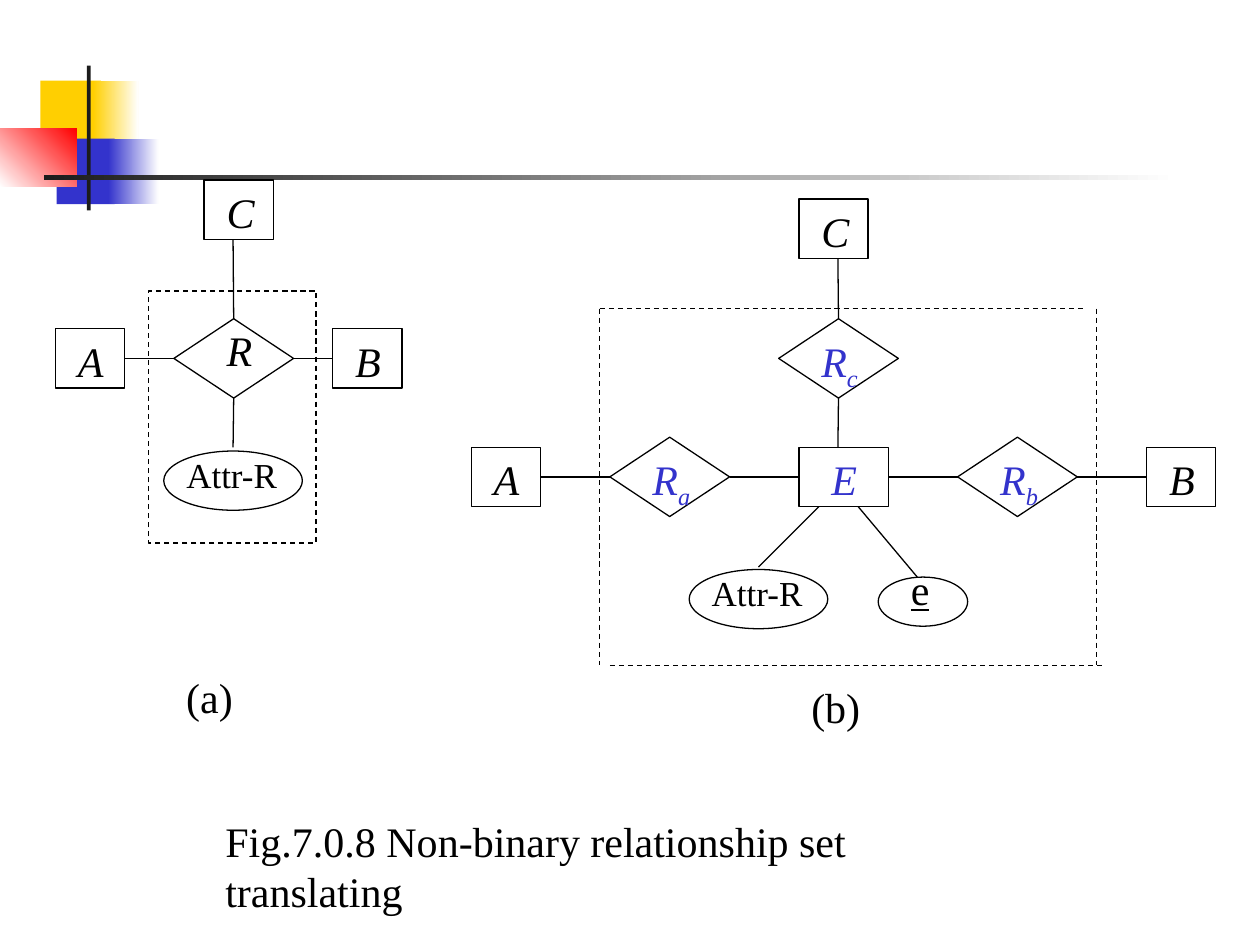
from dataclasses import dataclass
from typing import Any

from lxml.etree import SubElement
from pptx import Presentation
from pptx.dml.color import RGBColor
from pptx.enum.dml import MSO_LINE
from pptx.enum.shapes import MSO_CONNECTOR, MSO_SHAPE
from pptx.enum.text import MSO_AUTO_SIZE
from pptx.oxml.ns import qn
from pptx.util import Inches, Pt

BLACK = RGBColor(0x00, 0x00, 0x00)
WHITE = RGBColor(0xFF, 0xFF, 0xFF)
BLUE = RGBColor(0x33, 0x33, 0xCC)
YELLOW = RGBColor(0xFF, 0xCF, 0x01)
RED = RGBColor(0xFF, 0x00, 0x00)
CHARCOAL = RGBColor(0x1C, 0x1C, 0x1C)

TOP, LEFT, BOTTOM, RIGHT = range(4)
BOX_H = 0.47


@dataclass
class Panel:
    """A region of the slide; all lengths are inches from its top left corner."""
    s: Any
    x: float
    y: float

    def at(self, x, y):
        return Inches(self.x + x), Inches(self.y + y)

    def shape(self, kind, x, y, w, h):
        sp = self.s.shapes.add_shape(kind, *self.at(x, y), Inches(w), Inches(h))
        sp.shadow.inherit = False
        return sp

    def outline(self, kind, x, y, w, h, dash=None):
        sp = self.shape(kind, x, y, w, h)
        sp.fill.background()
        style_line(sp.line, dash)
        return sp

    def label(self, text, x, y, w, sub="", h=0.5, **fmt):
        sp = self.s.shapes.add_textbox(*self.at(x, y), Inches(w), Inches(h))
        tf = sp.text_frame
        tf.word_wrap = False
        tf.auto_size = MSO_AUTO_SIZE.SHAPE_TO_FIT_TEXT
        p = tf.paragraphs[0]
        color = fmt.pop("color", BLACK)
        values = {"name": "Times New Roman", "size": Pt(24), **fmt}
        for part in filter(None, (text, sub)):
            r = p.add_run()
            r.text = part
            for name, value in values.items():
                setattr(r.font, name, value)
            r.font.color.rgb = color
        if sub:
            r._r.get_or_add_rPr().set("baseline", "-25000")

    def entity(self, text, x, y, w=0.55, color=BLACK):
        sp = self.outline(MSO_SHAPE.RECTANGLE, x, y, w, BOX_H)
        text_w = 0.42 if text == "C" else 0.4
        self.label(text, x + (w - 0.39) / 2, y, text_w, italic=True, color=color)
        return sp

    def diamond(self, x, y):
        return self.outline(MSO_SHAPE.DIAMOND, x, y, 0.95, 0.63)

    def relationship(self, sub, x, y):
        sp = self.diamond(x, y)
        self.label("R", x + 0.24, y + 0.08, 0.5, sub, h=0.56, italic=True, color=BLUE)
        return sp

    def attribute(self, x, y):
        self.outline(MSO_SHAPE.OVAL, x, y, 1.1, BOX_H)
        self.label("Attr-R", x + 0.08, y - 0.03, 0.92, h=0.44, size=Pt(20))

    def link(self, start, end, dash=None):
        """Draw a line; each end is an (x, y) point or a (shape, side) pair."""
        points = [(0, 0) if hasattr(e[0], "shape_id") else e for e in (start, end)]
        c = self.s.shapes.add_connector(
            MSO_CONNECTOR.STRAIGHT, *self.at(*points[0]), *self.at(*points[1]))
        for e, connect in ((start, c.begin_connect), (end, c.end_connect)):
            if hasattr(e[0], "shape_id"):
                connect(*e)
        style_line(c.line, dash)
        SubElement(c._element.spPr, qn("a:effectLst"))


def style_line(line, dash=None):
    line.color.rgb = BLACK
    line.width = Pt(0.75)
    if dash:
        line.dash_style = dash


def draw_decoration(s, x, y):
    panel = Panel(s, x, y)
    bars = [
        ((0.32, 0.12, 0.48, 0.52), YELLOW, None, 0),
        ((0.74, 0.12, 0.36, 0.52), YELLOW, WHITE, 0),
        ((0.45, 0.58, 0.46, 0.52), BLUE, None, 0),
        ((0.86, 0.58, 0.4, 0.52), BLUE, WHITE, 0),
        ((0, 0.5, 0.61, 0.46), WHITE, RED, 45),
        ((0.69, 0, 0.03, 1.15), CHARCOAL, None, 0),
        ((0.35, 0.87, 9, 0.04), CHARCOAL, WHITE, 0),
    ]
    for box, first, last, angle in bars:
        sp = panel.shape(MSO_SHAPE.RECTANGLE, *box)
        sp.line.fill.background()
        if last is None:
            sp.fill.solid()
            sp.fill.fore_color.rgb = first
            continue
        sp.fill.gradient()
        sp.fill.gradient_angle = angle
        for stop, color in zip(sp.fill.gradient_stops, (first, last)):
            stop.color.rgb = color


def draw_ternary(s, x, y):
    panel = Panel(s, x, y)
    r = panel.diamond(0.94, 1.1)
    panel.label("R", 1.26, 1.1, 0.4, italic=True)
    a = panel.entity("A", 0, 1.18)
    b = panel.entity("B", 2.2, 1.18)
    panel.entity("C", 1.18, 0)
    panel.attribute(0.86, 2.15)
    panel.link((a, RIGHT), (r, LEFT))
    panel.link((r, RIGHT), (b, LEFT))
    panel.link((1.41, BOX_H), (r, TOP))
    panel.link((r, BOTTOM), (1.41, 2.12))
    panel.outline(MSO_SHAPE.RECTANGLE, 0.74, 0.88, 1.33, 2, MSO_LINE.DASH)
    panel.label("(a)", 0.94, 3.85, 0.57)


def draw_translated(s, x, y):
    panel = Panel(s, x, y)
    a = panel.entity("A", 0, 1.97)
    b = panel.entity("B", 5.36, 1.97)
    panel.entity("C", 2.6, 0)
    e = panel.entity("E", 2.6, 1.97, 0.71, BLUE)
    ra = panel.relationship("a", 1.1, 1.89)
    rb = panel.relationship("b", 3.86, 1.89)
    rc = panel.relationship("c", 2.44, 0.95)
    row = (a, ra, e, rb, b)
    for left, right in zip(row, row[1:]):
        panel.link((left, RIGHT), (right, LEFT))
    panel.link((2.91, BOX_H), (rc, TOP))
    panel.link((rc, BOTTOM), (2.91, 1.97))

    panel.attribute(1.73, 2.94)
    panel.outline(MSO_SHAPE.OVAL, 3.23, 3, 0.71, 0.39)
    panel.label("e", 3.39, 2.84, 0.35, underline=True)
    panel.link((2.76, 2.44), (2.28, 2.92))
    panel.link((3.07, 2.44), (3.54, 3))

    frame = [
        ((1.02, 0.87), (4.88, 0.87)),
        ((1.02, 0.87), (1.02, 3.7)),
        ((1.1, 3.7), (5.04, 3.7)),
        ((4.96, 0.87), (4.96, 3.7)),
    ]
    for start, end in frame:
        panel.link(start, end, MSO_LINE.DASH)
    panel.label("(b)", 2.6, 3.78, 0.59)


def main():
    prs = Presentation()
    prs.slide_width, prs.slide_height = Inches(10), Inches(7.5)
    s = prs.slides.add_slide(prs.slide_layouts[6])
    draw_decoration(s, 0, 0.52)
    draw_ternary(s, 0.44, 1.43)
    draw_translated(s, 3.74, 1.58)
    Panel(s, 1.69, 6.42).label(
        "Fig.7.0.8 Non-binary relationship set translating", 0, 0, 6.61)
    prs.save("out.pptx")


if __name__ == "__main__":
    main()
